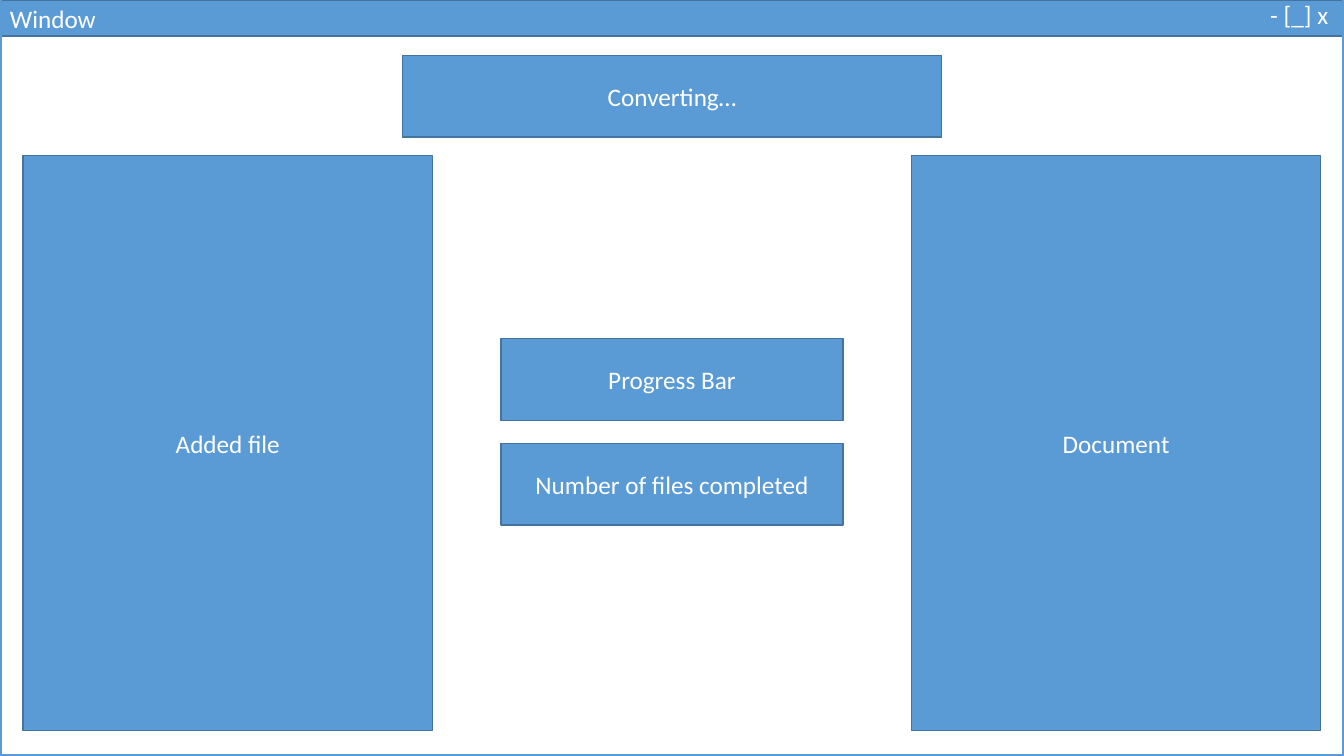
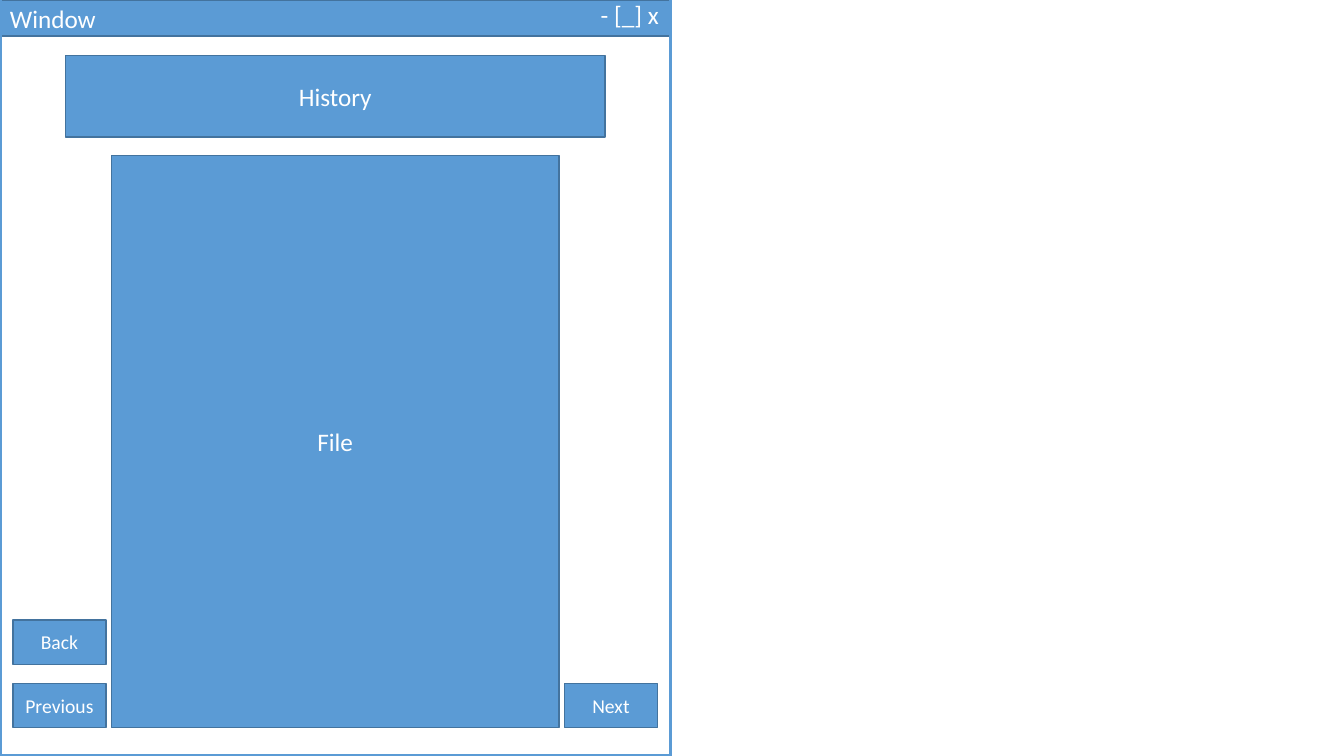
from collections import namedtuple

from pptx import Presentation
from pptx import util as u
from pptx.dml.color import RGBColor
from pptx.enum import shapes, text

COLOURS = {"panel": "5B9BD5", "outline": "43739E", "label": "FFFFFF"}
FONT = "Calibri"
SLIDE_WIDTH, SLIDE_HEIGHT = 13.33, 7.5
BAR_HEIGHT = 0.36
HEADING_TOP, HEADING_WIDTH = 0.55, 5.35
ROW_HEIGHT = 0.81
CONTENT_TOP = 1.54

Box = namedtuple("Box", "left top width height")


def colour(name):
    """Return the named colour of the palette."""
    return RGBColor.from_string(COLOURS[name])


def inches(box):
    """Convert a box to four lengths."""
    return [u.Inches(value) for value in box]


def centred_left(box, width):
    """Return the left edge that centres a width in the box."""
    return box.left + (box.width - width) / 2


def write(shape, label, size, alignment):
    """Put one formatted line of text in a shape."""
    frame = shape.text_frame
    frame.word_wrap = True
    frame.text = label
    paragraph = frame.paragraphs[0]
    paragraph.alignment = alignment
    font = paragraph.runs[0].font
    font.name, font.size = FONT, u.Pt(size)
    font.color.rgb = colour("label")


def add_panel(slide, box, label="", size=18):
    """Draw a filled rectangle with an optional centred label."""
    shape = slide.shapes.add_shape(shapes.MSO_SHAPE.RECTANGLE, *inches(box))
    shape.shadow.inherit = False
    shape.fill.solid()
    shape.fill.fore_color.rgb = colour("panel")
    shape.line.color.rgb = colour("outline")
    shape.line.width = u.Pt(1)
    if label:
        shape.text_frame.vertical_anchor = text.MSO_ANCHOR.MIDDLE
        write(shape, label, size, text.PP_ALIGN.CENTER)


def add_bar_text(slide, box, label):
    """Write a left-aligned label on the title bar."""
    shape = slide.shapes.add_textbox(*inches(box))
    write(shape, label, 18, text.PP_ALIGN.LEFT)


def add_window(slide, window, heading, controls_inset):
    """Draw the title bar, the heading and the frame of a window."""
    add_panel(slide, Box(window.left, 0, window.width, BAR_HEIGHT))
    add_bar_text(slide, Box(window.left, -0.02, 1.31, 0.4), "Window")
    controls_left = window.left + window.width - controls_inset
    add_bar_text(slide, Box(controls_left, -0.06, 0.83, 0.4), "- [_] x")
    heading_left = centred_left(window, HEADING_WIDTH)
    add_panel(slide, Box(heading_left, HEADING_TOP, HEADING_WIDTH, ROW_HEIGHT), heading)
    frame = slide.shapes.add_shape(shapes.MSO_SHAPE.RECTANGLE, *inches(window))
    frame.shadow.inherit = False
    frame.fill.background()
    frame.line.color.rgb = colour("panel")
    frame.line.width = u.Pt(2.25)


def add_converting(slide, window):
    """Build the window that shows a conversion in progress."""
    margin, width, height = 0.23, 4.06, 5.71
    right_left = window.left + window.width - margin - width
    for left, label in ((window.left + margin, "Added file"), (right_left, "Document")):
        add_panel(slide, Box(left, CONTENT_TOP, width, height), label)
    status_width = 3.39
    status_left = centred_left(window, status_width)
    for row, label in enumerate(("Progress Bar", "Number of files completed")):
        add_panel(slide, Box(status_left, 3.36 + row * 1.04, status_width, ROW_HEIGHT), label)
    add_window(slide, window, "Converting…", 0.83)


def add_history(slide, window):
    """Build the window that pages through earlier files."""
    file_width, file_height = 4.44, 5.68
    file_left = centred_left(window, file_width)
    add_panel(slide, Box(file_left, CONTENT_TOP, file_width, file_height), "File")
    margin, width, height = 0.13, 0.92, 0.44
    left = window.left + margin
    right = window.left + window.width - margin - width
    bottom = CONTENT_TOP + file_height - height
    buttons = (("Previous", left, bottom), ("Next", right, bottom), ("Back", left, bottom - 0.63))
    for label, button_left, button_top in buttons:
        add_panel(slide, Box(button_left, button_top, width, height), label, 14)
    add_window(slide, window, "History", 0.79)


def main():
    """Build and save the presentation."""
    presentation = Presentation()
    presentation.slide_width = u.Inches(SLIDE_WIDTH)
    presentation.slide_height = u.Inches(SLIDE_HEIGHT)
    for build, width in ((add_converting, SLIDE_WIDTH), (add_history, 6.65)):
        slide = presentation.slides.add_slide(presentation.slide_layouts[6])
        build(slide, Box(0, -0.02, width, SLIDE_HEIGHT + 0.02))
    presentation.save("out.pptx")


main()
